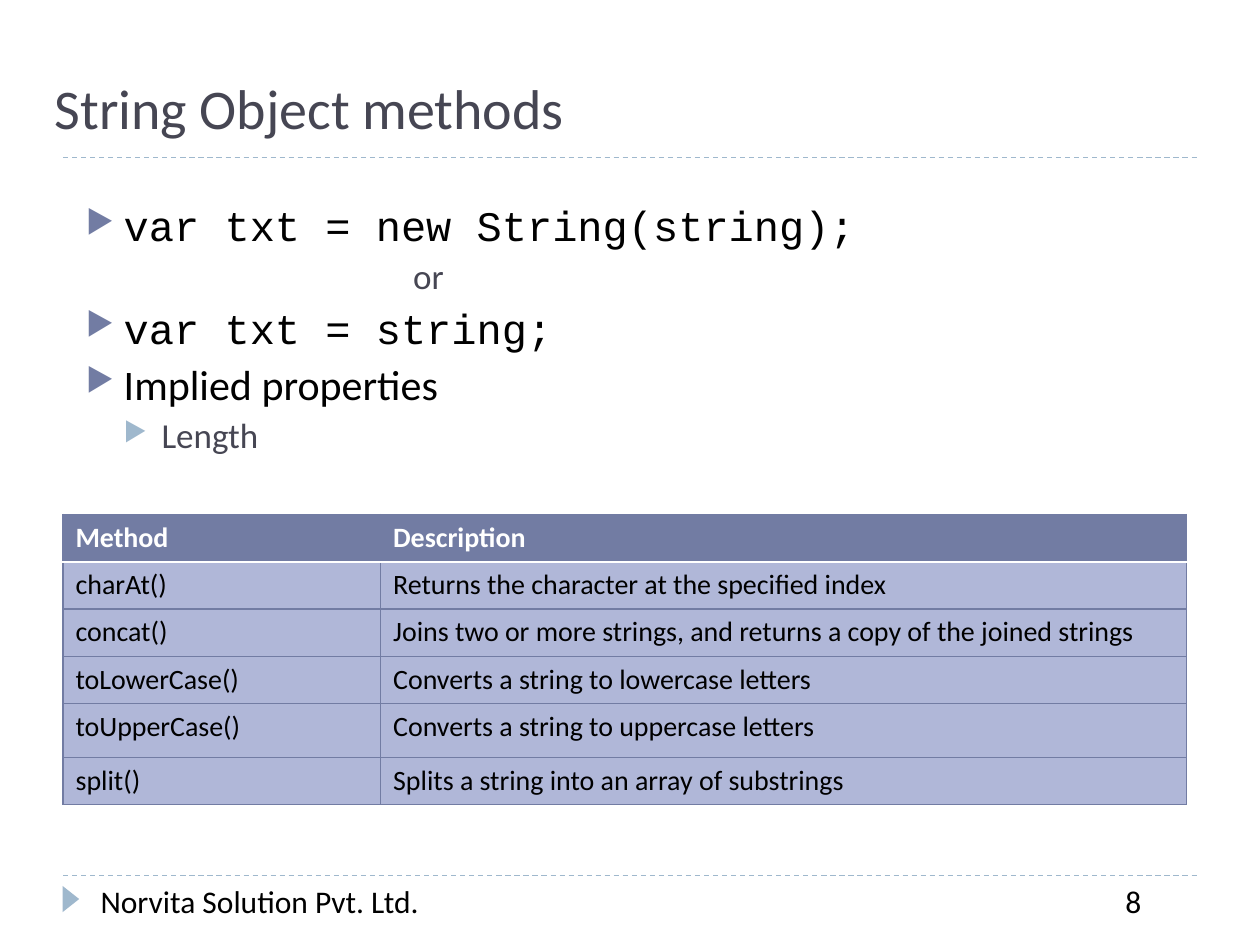
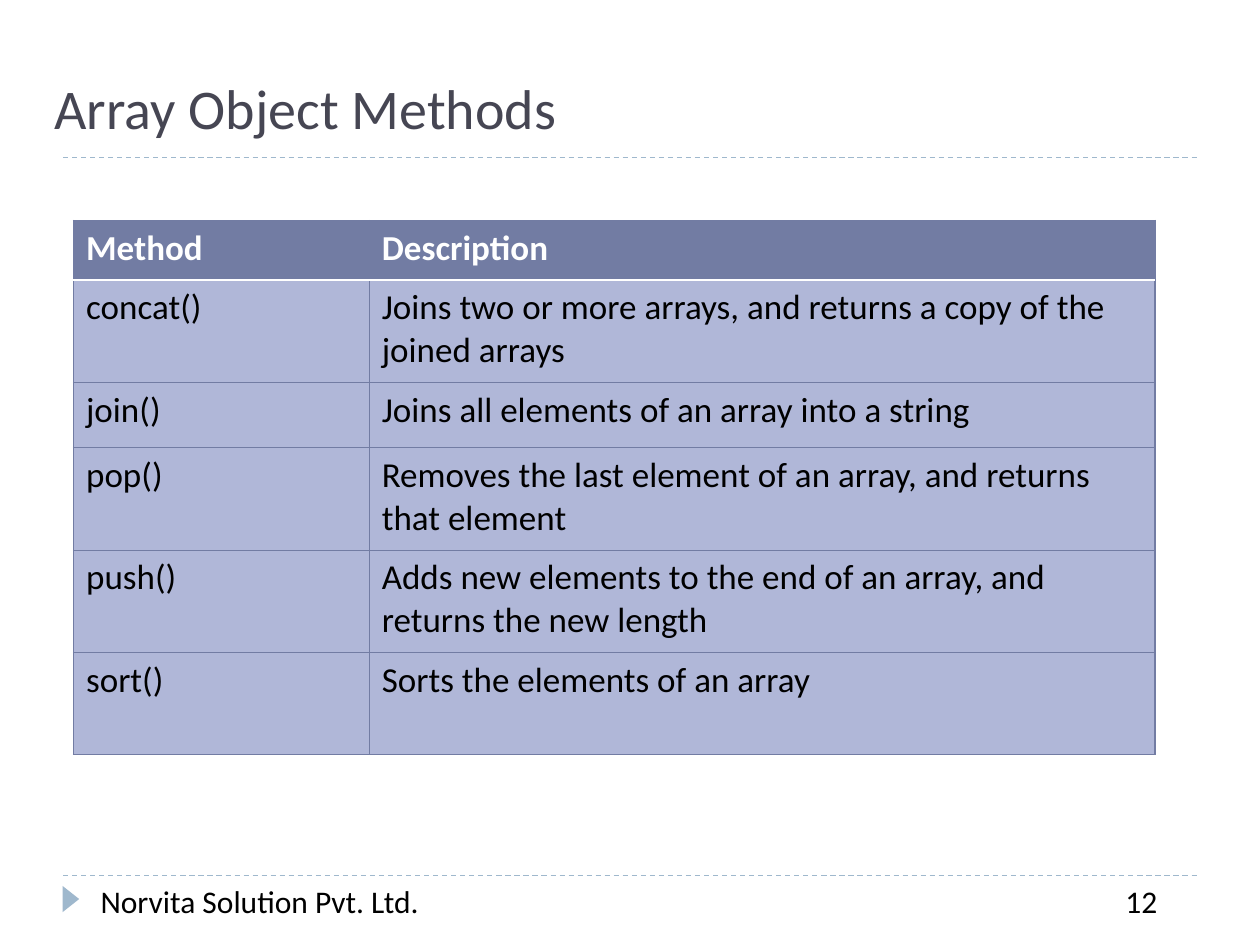
from lxml import etree
from pptx import Presentation
from pptx.dml.color import RGBColor
from pptx.enum.dml import MSO_LINE
from pptx.enum.shapes import MSO_CONNECTOR, MSO_SHAPE
from pptx.enum.text import MSO_ANCHOR, MSO_AUTO_SIZE, PP_ALIGN
from pptx.oxml.ns import qn
from pptx.util import Pt

STRAIGHT = MSO_CONNECTOR.STRAIGHT
TRIANGLE = MSO_SHAPE.ISOSCELES_TRIANGLE
DASH = MSO_LINE.DASH
LEFT = PP_ALIGN.LEFT
BOTTOM = MSO_ANCHOR.BOTTOM
NO_AUTOFIT = MSO_AUTO_SIZE.NONE

COLORS = {
    "accent": "727CA3",
    "light": "9FB8CD",
    "cell": "B0B7D8",
    "heading": "464653",
    "text": "000000",
    "white": "FFFFFF",
}
BODY_FONT = "Calibri"
CODE_FONT = "Courier New"
TITLE_ONLY = 5
FOOTER = "Norvita Solution Pvt. Ltd."
HEADER = ("Method", "Description")

STRING_METHODS = [
    ("charAt()", "Returns the character at the specified index"),
    ("concat()", "Joins two or more strings, and returns a copy of the joined strings"),
    ("toLowerCase()", "Converts a string to lowercase letters"),
    ("toUpperCase()", "Converts a string to uppercase letters"),
    ("split()", "Splits a string into an array of substrings"),
]
ARRAY_METHODS = [
    ("concat()", "Joins two or more arrays, and returns a copy of the joined arrays"),
    ("join()", "Joins all elements of an array into a string"),
    ("pop()", "Removes the last element of an array, and returns that element"),
    ("push()", "Adds new elements to the end of an array, and returns the new length"),
    ("sort()", "Sorts the elements of an array"),
]

# Outline lines: text, font, level, left indent, bullet colour
STRING_OUTLINE = [
    ("var txt = new String(string);", CODE_FONT, 0, 21.6, "accent"),
    ("or", BODY_FONT, 1, 187, None),
    ("var txt = string;", CODE_FONT, 0, 21.6, "accent"),
    ("Implied properties", BODY_FONT, 0, 21.6, "accent"),
    ("Length", BODY_FONT, 1, 43.2, "light"),
]
LEVELS = [
    {"size": 24, "color": "text", "before": 6},
    {"size": 20, "color": "heading", "before": 5},
]


def rgb(name):
    return RGBColor.from_string(COLORS[name])


def style_text(para, size, color, font=BODY_FONT, bold=False):
    for span in para.runs:
        span.font.name = font
        span.font.size = Pt(size)
        span.font.bold = bold
        span.font.color.rgb = rgb(color)


def add_color(parent, name):
    fill = etree.SubElement(parent, qn("a:solidFill"))
    etree.SubElement(fill, qn("a:srgbClr"), val=COLORS[name])


# Shared slide parts
def add_text(slide, text, left, top, width, height):
    box = slide.shapes.add_textbox(Pt(left), Pt(top), Pt(width), Pt(height))
    box.text_frame.word_wrap = True
    box.text_frame.text = text
    style_text(box.text_frame.paragraphs[0], 18, "text")


def add_rule(slide, top):
    rule = slide.shapes.add_connector(STRAIGHT, Pt(36), Pt(top), Pt(684), Pt(top))
    rule.line.color.rgb = rgb("light")
    rule.line.width = Pt(0.75)
    rule.line.dash_style = DASH
    etree.SubElement(rule.line._get_or_add_ln().getparent(), qn("a:effectLst"))


def add_footer_marker(slide):
    marker = slide.shapes.add_shape(TRIANGLE, Pt(33), Pt(509), Pt(15), Pt(9.5))
    marker.rotation = 90
    marker.shadow.inherit = False
    marker.fill.solid()
    marker.fill.fore_color.rgb = rgb("light")
    marker.line.fill.background()


def set_title(slide, text):
    title = slide.shapes.title
    title.left, title.top, title.width, title.height = Pt(24), Pt(18), Pt(684), Pt(66)
    frame = title.text_frame
    frame.text = text
    frame.auto_size = NO_AUTOFIT
    frame.vertical_anchor = BOTTOM
    frame.paragraphs[0].alignment = LEFT
    style_text(frame.paragraphs[0], 32, "heading")


def add_page(deck, title, number):
    slide = deck.slides.add_slide(deck.slide_layouts[TITLE_ONLY])
    for top in (500.4, 90):
        add_rule(slide, top)
    add_footer_marker(slide)
    set_title(slide, title)
    add_text(slide, FOOTER, 50.4, 500.4, 273.6, 28.8)
    add_text(slide, str(number), 636, 500.4, 48, 28.8)
    return slide


# Bulleted outline
def set_bullet(para, left, bullet_color):
    props = para._p.get_or_add_pPr()
    props.set("marL", str(Pt(left)))
    props.set("indent", str(Pt(-21.6) if bullet_color else 0))
    if not bullet_color:
        etree.SubElement(props, qn("a:buNone"))
        return
    color = etree.SubElement(props, qn("a:buClr"))
    etree.SubElement(color, qn("a:srgbClr"), val=COLORS[bullet_color])
    etree.SubElement(props, qn("a:buSzPct"), val="76000")
    etree.SubElement(props, qn("a:buChar"), char="▶")


def add_outline(slide, lines, left, top, width, height):
    box = slide.shapes.add_textbox(Pt(left), Pt(top), Pt(width), Pt(height))
    frame = box.text_frame
    frame.word_wrap = True
    for index, (text, font, level, indent, bullet_color) in enumerate(lines):
        para = frame.add_paragraph() if index else frame.paragraphs[0]
        look = LEVELS[level]
        para.text = text
        para.level = level
        para.line_spacing = 0.9
        para.space_before = Pt(look["before"])
        set_bullet(para, indent, bullet_color)
        style_text(para, look["size"], look["color"], font)


# Method tables
def set_borders(cell, row):
    props = cell._tc.get_or_add_tcPr()
    white_sides = {0: "lnB", 1: "lnT"}
    for index, side in enumerate(("lnL", "lnR", "lnT", "lnB")):
        is_white = white_sides.get(row) == side
        border = etree.Element(qn("a:" + side), w=str(Pt(1.5 if is_white else 0.75)))
        add_color(border, "white" if is_white else "accent")
        props.insert(index, border)


def add_method_table(slide, methods, left, top, column_widths, row_heights, size):
    rows = [HEADER] + methods
    table = slide.shapes.add_table(
        len(rows), len(HEADER), Pt(left), Pt(top),
        Pt(sum(column_widths)), Pt(sum(row_heights))).table
    table.first_row = True
    table.horz_banding = False
    for column, width in zip(table.columns, column_widths):
        column.width = Pt(width)
    for row, (texts, height) in enumerate(zip(rows, row_heights)):
        table.rows[row].height = Pt(height)
        is_header = row == 0
        for column, text in enumerate(texts):
            cell = table.cell(row, column)
            cell.text = text
            style_text(cell.text_frame.paragraphs[0], size,
                       "white" if is_header else "text", bold=is_header)
            cell.fill.solid()
            cell.fill.fore_color.rgb = rgb("accent" if is_header else "cell")
            set_borders(cell, row)


def main():
    deck = Presentation()
    deck.slide_width, deck.slide_height = Pt(720), Pt(540)

    # String methods
    page = add_page(deck, "String Object methods", 8)
    add_method_table(page, STRING_METHODS, 36, 294, (181.5, 460.5),
                     (27, 27, 27, 27, 31, 27), 16)
    add_outline(page, STRING_OUTLINE, 42, 114, 636, 152)

    # Array methods
    page = add_page(deck, "Array Object Methods", 12)
    add_method_table(page, ARRAY_METHODS, 42, 126, (169, 449),
                     (34, 58.5, 37.5, 58.5, 58.5, 58.5), 20)

    deck.save("out.pptx")


if __name__ == "__main__":
    main()
